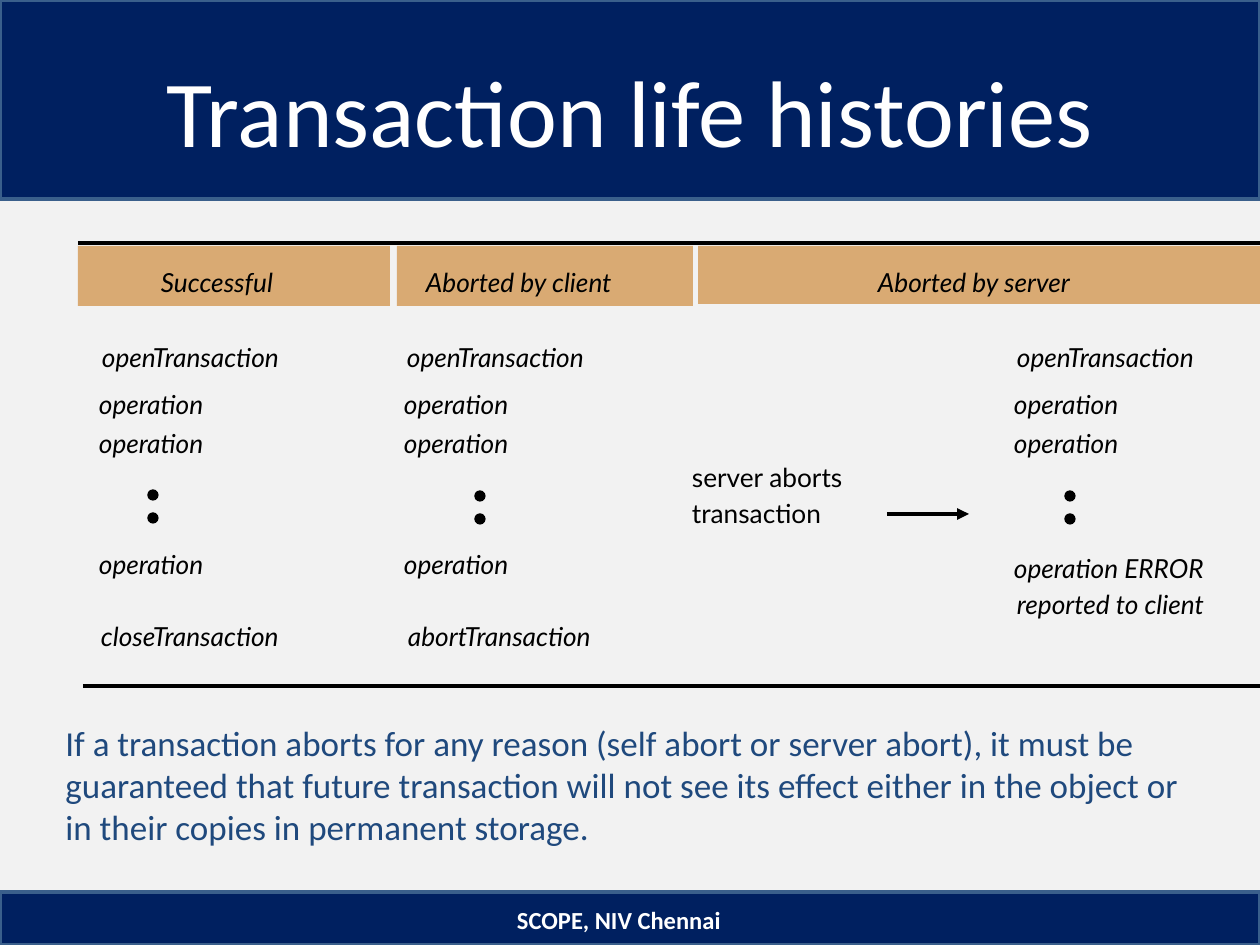
from lxml.etree import SubElement
from pptx import Presentation
from pptx.dml.color import RGBColor
from pptx.enum.shapes import MSO_CONNECTOR, MSO_SHAPE
from pptx.enum.text import MSO_ANCHOR, PP_ALIGN
from pptx.oxml.ns import qn
from pptx.util import Emu, Pt

PX = 914400 // 126
NAVY, EDGE, TAN, BLACK, WHITE = "002060", "3A5F8B", "D9AA73", "000000", "FFFFFF"


def px(n):
    """Turn pixels into EMU."""
    return Emu(n * PX)


def rgb(color):
    """Turn a hex string into a colour."""
    return RGBColor.from_string(color)


def add_shape(shapes, kind, box, fill, line=None, width=0.75):
    """Add a filled preset shape, outlined if a line colour is given."""
    sp = shapes.add_shape(kind, *map(px, box))
    sp.shadow.inherit = False
    sp.fill.solid()
    sp.fill.fore_color.rgb = rgb(fill)
    if line:
        sp.line.color.rgb = rgb(line)
        sp.line.width = Pt(width)
    else:
        sp.line.fill.background()


def add_line(shapes, start, end, arrow=False):
    """Add a black line, with an arrowhead at its end if asked."""
    cxn = shapes.add_connector(MSO_CONNECTOR.STRAIGHT, *map(px, start + end))
    cxn.line.color.rgb = rgb(BLACK)
    cxn.line.width = Pt(2.25)
    if arrow:
        SubElement(cxn.line._get_or_add_ln(), qn("a:tailEnd"), type="triangle")
    SubElement(cxn._element.spPr, qn("a:effectLst"))


def add_text(shapes, box, text, size, color, font="Calibri", bold=False,
             italic=False, align=PP_ALIGN.LEFT):
    """Add a wrapped, vertically centred text box and return its frame."""
    tf = shapes.add_textbox(*map(px, box)).text_frame
    tf.word_wrap = True
    tf.vertical_anchor = MSO_ANCHOR.MIDDLE
    p = tf.paragraphs[0]
    p.alignment = align
    r = p.add_run()
    r.text = text
    r.font.name, r.font.size = font, Pt(size)
    r.font.bold, r.font.italic = bold, italic
    r.font.color.rgb = rgb(color)
    return tf


def add_label(shapes, x, y, text, width=230, italic=True):
    """Add a one-line label of the table, without margins."""
    tf = add_text(shapes, (x, y, width, 32), text, 15, BLACK, "Lato", italic=italic)
    tf.word_wrap = False
    tf.vertical_anchor = MSO_ANCHOR.TOP
    tf.margin_left = tf.margin_right = tf.margin_top = tf.margin_bottom = 0


def add_history(shapes, x, dots_x, dots_y, ending):
    """Add one column: opening steps, two dots, and its ending."""
    steps = [(3, 341, "openTransaction"), (0, 388, "operation"), (0, 427, "operation")]
    for dx, y, text in steps + ending:
        add_label(shapes, x + dx, y, text)
    for y in (dots_y, dots_y + 23):
        add_shape(shapes, MSO_SHAPE.OVAL, (dots_x, y, 10, 10), BLACK, BLACK)


def main():
    """Build the slide and save it."""
    prs = Presentation()
    prs.slide_width, prs.slide_height = px(1260), px(945)
    s = prs.slides.add_slide(prs.slide_layouts[6])
    s.background.fill.solid()
    s.background.fill.fore_color.rgb = rgb("F2F2F2")
    shapes = s.shapes

    for y, height in ((0, 199), (892, 53)):
        add_shape(shapes, MSO_SHAPE.RECTANGLE, (0, y, 1260, height), NAVY, EDGE, 2)
    add_text(shapes, (42, 31, 1176, 158), "Transaction life histories", 54, WHITE,
             align=PP_ALIGN.CENTER)

    headers = [(78, 312, 60, 161, "Successful"),
               (397, 296, 60, 426, "Aborted by client"),
               (698, 576, 58, 878, "Aborted by server")]
    for x, width, height, text_x, text in headers:
        add_shape(shapes, MSO_SHAPE.RECTANGLE, (x, 246, width, height), TAN)
        add_label(shapes, text_x, 266, text)

    add_history(shapes, 99, 148, 490,
                [(0, 548, "operation"), (2, 620, "closeTransaction")])
    add_history(shapes, 404, 475, 491,
                [(0, 548, "operation"), (4, 620, "abortTransaction")])
    add_history(shapes, 1014, 1065, 491,
                [(0, 552, "operation ERROR"), (3, 588, "reported to client")])

    for y, text in ((461, "server aborts"), (497, "transaction")):
        add_label(shapes, 692, y, text, 175, italic=False)
    add_line(shapes, (887, 514), (969, 514), arrow=True)
    add_line(shapes, (78, 243), (1268, 243))
    add_line(shapes, (83, 686), (1273, 686))

    add_text(shapes, (53, 715, 1169, 139),
             "If a transaction aborts for any reason (self abort or server abort), "
             "it must be guaranteed that future transaction will not see its effect "
             "either in the object or in their copies in permanent storage.",
             20, "1F497D")
    add_text(shapes, (346, 895, 546, 50), "SCOPE, NIV Chennai", 14, WHITE,
             bold=True, align=PP_ALIGN.CENTER)
    prs.save("out.pptx")


main()
